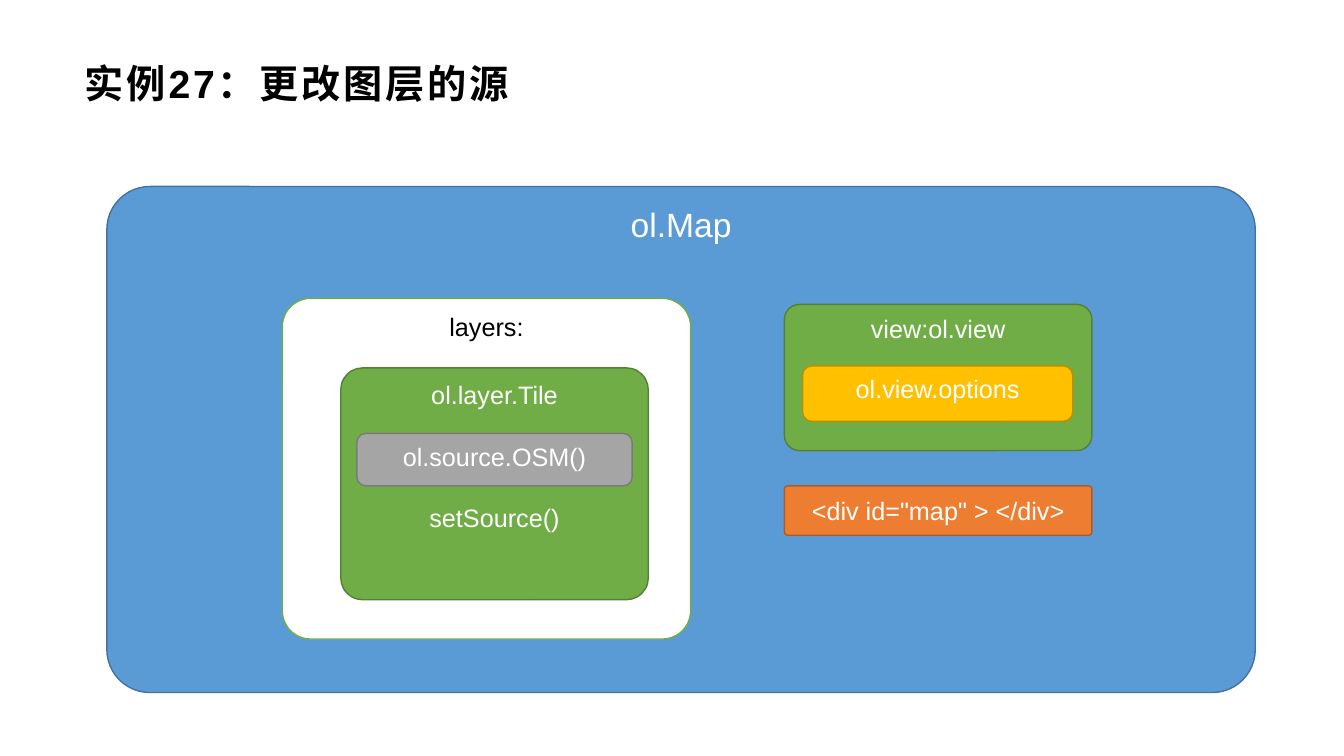
"""Build the slide on changing the source of a map layer."""
import pptx
import pptx.dml.color
import pptx.enum.shapes
import pptx.enum.text
import pptx.util

RGB = pptx.dml.color.RGBColor
WHITE = RGB(255, 255, 255)
BLACK = RGB(0, 0, 0)
BLUE, NAVY = RGB(0x5B, 0x9B, 0xD5), RGB(0x43, 0x73, 0x9E)
GREEN, MOSS = RGB(0x70, 0xAD, 0x47), RGB(0x53, 0x80, 0x35)
RUST, BROWN = RGB(0xED, 0x7D, 0x31), RGB(0xAF, 0x5C, 0x24)
GOLD, OCHRE = RGB(0xFF, 0xC0, 0x00), RGB(0xBD, 0x8E, 0x00)
GREY, STEEL = RGB(0xA5, 0xA5, 0xA5), RGB(0x7A, 0x7A, 0x7A)

TITLE = "实例27：更改图层的源"
BOXES = [
    (None, ["ol.Map"], (106, 185, 1139, 502), 0.085, BLUE, NAVY, WHITE, 24, "TOP"),
    (None, ['<div id="map" > </div>'], (778, 482, 305, 49), 0.069, RUST, BROWN, WHITE, 18, "MIDDLE"),
    ("view", ["view:ol.view"], (778, 302, 305, 145), 0.103, GREEN, MOSS, WHITE, 18, "TOP"),
    ("view", ["ol.view.options"], (796, 363, 268, 55), 0.167, GOLD, OCHRE, WHITE, 18, "TOP"),
    (None, ["layers:"], (280, 296, 405, 338), 0.083, WHITE, GREEN, BLACK, 18, "TOP"),
    ("tile", ["ol.layer.Tile", "setSource()"], (338, 365, 305, 230), 0.094, GREEN, MOSS, WHITE, 18, "TOP"),
    ("tile", ["ol.source.OSM()"], (354, 430, 273, 52), 0.167, GREY, STEEL, WHITE, 18, "TOP"),
]
GAP = pptx.util.Pt(66)
SCALE = 9144


def emu(px):
    """Turn px into EMU."""
    return pptx.util.Emu(px * SCALE)


def style(item, form):
    """Set each attribute that the dict names."""
    for key, value in form.items():
        setattr(item, key, value)


def write(para, text, size, color, bold=False):
    """Put one run of text in a paragraph."""
    run = para.add_run()
    run.text = text
    style(run.font, {"name": "Arial", "size": pptx.util.Pt(size), "bold": bold})
    run.font.color.rgb = color
    return run


def head(slide):
    """Fill the title placeholder."""
    title = slide.shapes.title
    style(title, dict(zip(("left", "top", "width", "height"), map(emu, (73, 47, 1187, 71)))))
    frame = title.text_frame
    style(frame, {
        "word_wrap": True,
        "vertical_anchor": pptx.enum.text.MSO_ANCHOR.MIDDLE,
        "margin_left": emu(11), "margin_right": emu(8),
        "margin_top": emu(4), "margin_bottom": emu(4),
    })
    para = frame.paragraphs[0]
    para.alignment = pptx.enum.text.PP_ALIGN.LEFT
    run = write(para, TITLE, 28, BLACK, True)
    run.font._element.set("spc", "200")


def box(home, lines, place, curve, fill, edge, ink, size, anchor):
    """Draw one rounded box with its lines of text."""
    kind = pptx.enum.shapes.MSO_SHAPE.ROUNDED_RECTANGLE
    shape = home.add_shape(kind, *map(emu, place))
    shape.adjustments[0] = curve
    shape.shadow.inherit = False
    shape.fill.solid()
    shape.fill.fore_color.rgb = fill
    shape.line.color.rgb = edge
    shape.line.width = pptx.util.Pt(1)
    frame = shape.text_frame
    style(frame, {"word_wrap": True, "vertical_anchor": pptx.enum.text.MSO_ANCHOR[anchor]})
    for row, text in enumerate(lines):
        para = frame.add_paragraph() if row else frame.paragraphs[0]
        style(para, {
            "alignment": pptx.enum.text.PP_ALIGN.CENTER,
            "space_before": GAP if row else pptx.util.Pt(0),
        })
        write(para, text, size, ink)


def main():
    """Build and save the deck."""
    deck = pptx.Presentation()
    style(deck, {"slide_width": emu(1333), "slide_height": emu(750)})
    slide = deck.slides.add_slide(deck.slide_layouts[5])
    head(slide)
    homes = {None: slide.shapes}
    for group, *rest in BOXES:
        if group not in homes:
            homes[group] = slide.shapes.add_group_shape().shapes
        box(homes[group], *rest)
    deck.save("out.pptx")


if __name__ == "__main__":
    main()
